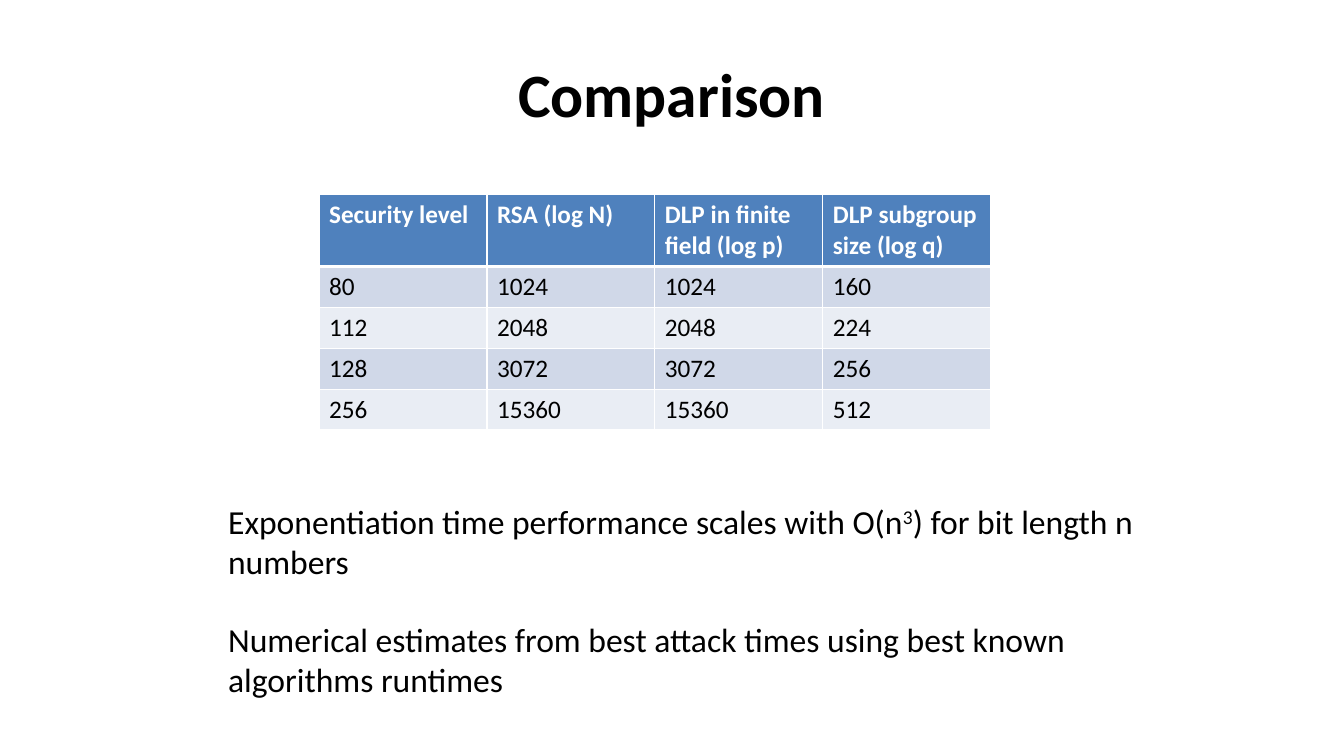
from lxml.etree import SubElement
from pptx import Presentation
from pptx.dml.color import RGBColor
from pptx.enum.text import MSO_ANCHOR as Anchor, PP_ALIGN as Align
from pptx.oxml.ns import qn
from pptx.util import Cm, Pt

COLORS = {
    "text": "000000",
    "header": "4F81BD",
    "header_text": "FFFFFF",
    "band_dark": "D0D8E8",
    "band_light": "E9EDF4",
    "border": "FFFFFF",
}
FONT = "Calibri"
TITLE_LAYOUT = 5

KEY_SIZES = [
    ["Security level", "RSA (log N)", "DLP in finite field (log p)", "DLP subgroup size (log q)"],
    ["80", "1024", "1024", "160"],
    ["112", "2048", "2048", "224"],
    ["128", "3072", "3072", "256"],
    ["256", "15360", "15360", "512"],
]
HEADER_HEIGHT, ROW_HEIGHT = 1.78, 1.03

# Each note is a list of (text, is superscript) pieces
SCALING_NOTE = [
    ("Exponentiation time performance scales with O(n", False),
    ("3", True),
    (") for bit length n numbers", False),
]
ESTIMATES_NOTE = [
    ("Numerical estimates from best attack times using best known algorithms runtimes", False),
]


def format_font(font, size, color="text", bold=False):
    for name, value in {"name": FONT, "size": Pt(size), "bold": bold}.items():
        setattr(font, name, value)
    font.color.rgb = RGBColor.from_string(COLORS[color])


def place(shape, box):
    for name, value in zip(("left", "top", "width", "height"), box):
        setattr(shape, name, Cm(value))


def add_title(slide, box, text):
    title = slide.shapes.title
    place(title, box)
    title.text_frame.vertical_anchor = Anchor.MIDDLE
    paragraph = title.text_frame.paragraphs[0]
    paragraph.text = text
    paragraph.alignment = Align.CENTER
    format_font(paragraph.runs[0].font, 44, bold=True)


def set_borders(cell, widths):
    properties = cell._tc.get_or_add_tcPr()
    for side, width in widths.items():
        line = SubElement(properties, qn(f"a:ln{side}"), w=str(Pt(width)))
        fill = SubElement(line, qn("a:solidFill"))
        SubElement(fill, qn("a:srgbClr"), val=COLORS["border"])


def add_key_size_table(slide, box, rows):
    left, top, width, height = box
    frame = slide.shapes.add_table(
        len(rows), len(rows[0]), Cm(left), Cm(top), Cm(width), Cm(height))
    table = frame.table
    for column in table.columns:
        column.width = Cm(width / len(rows[0]))
    for index, values in enumerate(rows):
        is_header = index == 0
        table.rows[index].height = Cm(HEADER_HEIGHT if is_header else ROW_HEIGHT)
        band = "header" if is_header else ("band_light", "band_dark")[index % 2]
        # A thick rule separates the header from the first data row
        borders = {"L": 1, "R": 1, "T": 3 if index == 1 else 1, "B": 3 if is_header else 1}
        for cell, value in zip(table.rows[index].cells, values):
            set_borders(cell, borders)
            cell.fill.solid()
            cell.fill.fore_color.rgb = RGBColor.from_string(COLORS[band])
            cell.text = value
            format_font(cell.text_frame.paragraphs[0].runs[0].font, 18,
                        "header_text" if is_header else "text", is_header)


def add_note(slide, box, pieces):
    shape = slide.shapes.add_textbox(*(Cm(value) for value in box))
    shape.text_frame.word_wrap = True
    paragraph = shape.text_frame.paragraphs[0]
    for text, is_superscript in pieces:
        run = paragraph.add_run()
        run.text = text
        format_font(run.font, 24)
        if is_superscript:
            run._r.get_or_add_rPr().set("baseline", "30000")


def main():
    presentation = Presentation()
    presentation.slide_width, presentation.slide_height = Cm(33.87), Cm(19.05)
    slide = presentation.slides.add_slide(presentation.slide_layouts[TITLE_LAYOUT])

    add_title(slide, (1.69, 0.76, 30.48, 3.18), "Comparison")
    table_height = HEADER_HEIGHT + ROW_HEIGHT * (len(KEY_SIZES) - 1)
    add_key_size_table(slide, (8.04, 4.91, 16.93, table_height), KEY_SIZES)
    add_note(slide, (5.5, 12.49, 24.13, 2.31), SCALING_NOTE)
    add_note(slide, (5.5, 15.46, 23.5, 2.31), ESTIMATES_NOTE)

    presentation.save("out.pptx")


if __name__ == "__main__":
    main()
